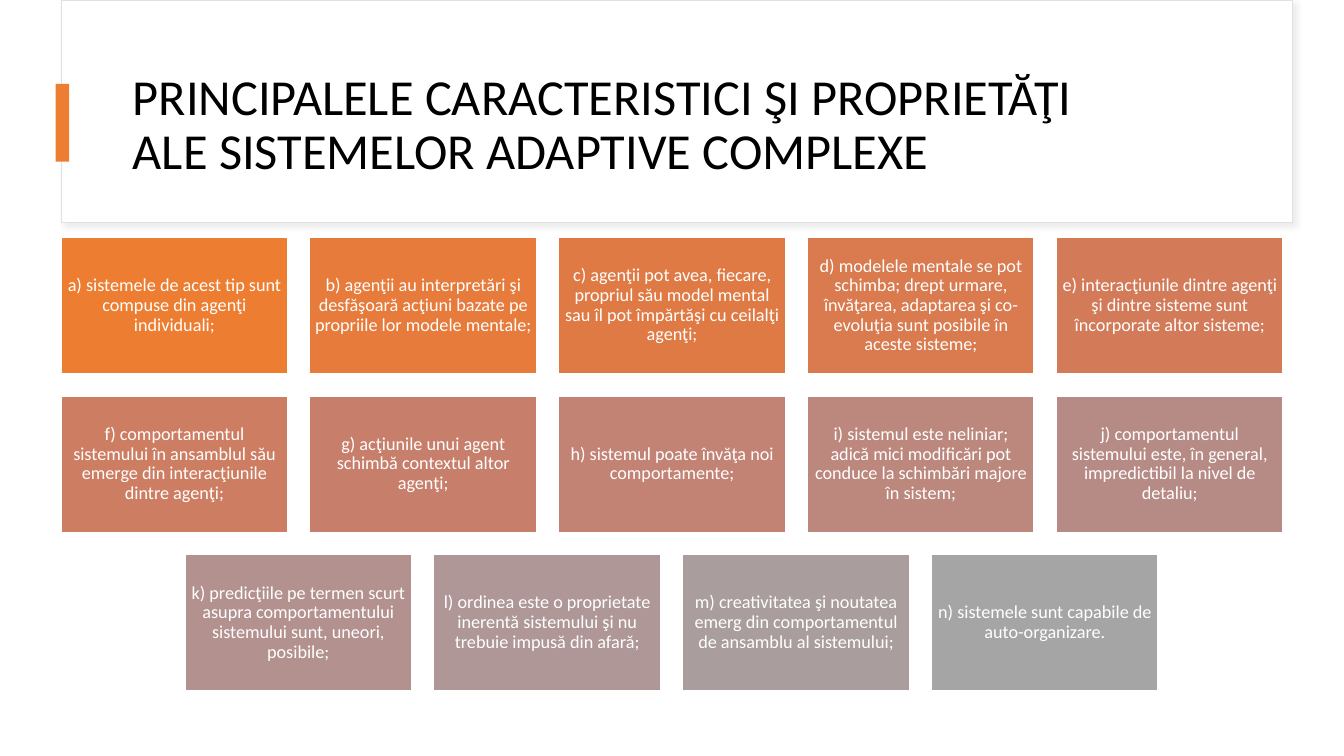
from colorsys import hls_to_rgb, rgb_to_hls
from dataclasses import dataclass

from lxml.etree import SubElement
from pptx import Presentation
from pptx.dml.color import RGBColor
from pptx.enum.shapes import MSO_SHAPE as Shape
from pptx.enum.text import MSO_ANCHOR as Anchor, PP_ALIGN as Align
from pptx.oxml.ns import qn
from pptx.util import Emu, Pt

PX = 9525
COLUMNS = 5
TILE_WIDTH, TILE_HEIGHT = 216, 130
COLUMN_STEP, ROW_STEP = 237, 151
GRID_LEFT, GRID_TOP = 58, 226

TITLE = [
    "PRINCIPALELE CARACTERISTICI ŞI PROPRIETĂŢI",
    "ALE SISTEMELOR ADAPTIVE COMPLEXE",
]
PROPERTIES = [
    "a) sistemele de acest tip sunt compuse din agenţi individuali;",
    "b) agenţii au interpretări şi desfăşoară acţiuni bazate pe propriile lor modele mentale;",
    "c) agenţii pot avea, fiecare, propriul său model mental sau îl pot împărtăşi cu ceilalţi agenţi;",
    "d) modelele mentale se pot schimba; drept urmare, învăţarea, adaptarea şi co-evoluţia "
    "sunt posibile în aceste sisteme;",
    "e) interacţiunile dintre agenţi şi dintre sisteme sunt încorporate altor sisteme;",
    "f) comportamentul sistemului în ansamblul său emerge din interacţiunile dintre agenţi;",
    "g) acţiunile unui agent schimbă contextul altor agenţi;",
    "h) sistemul poate învăţa noi comportamente;",
    "i) sistemul este neliniar; adică mici modificări pot conduce la schimbări majore în sistem;",
    "j) comportamentul sistemului este, în general, impredictibil la nivel de detaliu;",
    "k) predicţiile pe termen scurt asupra comportamentului sistemului sunt, uneori, posibile;",
    "l) ordinea este o proprietate inerentă sistemului şi nu trebuie impusă din afară;",
    "m) creativitatea şi noutatea emerg din comportamentul de ansamblu al sistemului;",
    "n) sistemele sunt capabile de auto-organizare.",
]


@dataclass(frozen=True)
class Theme:
    font: str = "Calibri"
    title_size: int = 36
    tile_size: int = 13
    ink: str = "000000"
    paper: str = "FFFFFF"
    frame: str = "E1E1E1"
    shadow: str = "D9D9D9"
    accent: str = "ED7D31"
    muted: str = "A5A5A5"

    def blend(self, share):
        start, end = (
            rgb_to_hls(*(part / 255 for part in RGBColor.from_string(color)))
            for color in (self.accent, self.muted)
        )
        mixed = (a + (b - a) * share for a, b in zip(start, end))
        return "".join(f"{round(part * 255):02X}" for part in hls_to_rgb(*mixed))


class SlideBuilder:
    """Draws themed elements on one slide, measured in px."""

    def __init__(self, page, theme):
        self.page = page
        self.theme = theme

    def rectangle(self, left, top, width, height, fill, line=None, weight=1):
        box = self.page.shapes.add_shape(
            Shape.RECTANGLE, *(Emu(value * PX) for value in (left, top, width, height))
        )
        box.shadow.inherit = False
        box.fill.solid()
        box.fill.fore_color.rgb = RGBColor.from_string(fill)
        if line:
            box.line.color.rgb = RGBColor.from_string(line)
            box.line.width = Pt(weight)
        else:
            box.line.fill.background()
        return box

    def add_lines(self, box, lines, size, color, align):
        frame = box.text_frame
        frame.word_wrap = True
        frame.vertical_anchor = Anchor.MIDDLE
        para = frame.paragraphs[0]
        para.alignment = align
        para.line_spacing = 0.9
        for index, line in enumerate(lines):
            if index:
                para.add_line_break()
            span = para.add_run()
            span.text = line
            span.font.name = self.theme.font
            span.font.size = Pt(size)
            span.font.color.rgb = RGBColor.from_string(color)

    def title_panel(self, left, top, width, height):
        theme = self.theme
        box = self.rectangle(left, top, width, height, theme.paper, theme.frame, 0.75)
        effects = box._element.spPr.find(qn("a:effectLst"))
        shadow = SubElement(
            effects, qn("a:outerShdw"), blurRad=str(Pt(4)), dist=str(Pt(3)),
            dir=str(45 * 60000), algn="tl", rotWithShape="0",
        )
        color = SubElement(shadow, qn("a:srgbClr"), val=theme.shadow)
        SubElement(color, qn("a:alpha"), val="50000")

    def title(self, left, top, width, height, lines):
        box = self.page.shapes.add_textbox(
            *(Emu(value * PX) for value in (left, top, width, height))
        )
        self.add_lines(box, lines, self.theme.title_size, self.theme.ink, Align.LEFT)

    def tile(self, left, top, text, fill):
        theme = self.theme
        box = self.rectangle(left, top, TILE_WIDTH, TILE_HEIGHT, fill, theme.paper)
        frame = box.text_frame
        frame.margin_left = frame.margin_right = Emu(5 * PX)
        frame.margin_top = frame.margin_bottom = Emu(5 * PX)
        self.add_lines(box, [text], theme.tile_size, theme.paper, Align.CENTER)


def main():
    deck = Presentation()
    deck.slide_width, deck.slide_height = Emu(1280 * PX), Emu(720 * PX)
    theme = Theme()
    builder = SlideBuilder(deck.slides.add_slide(deck.slide_layouts[6]), theme)

    builder.title_panel(59, 0, 1172, 212)
    builder.title(117, 58, 1068, 124, TITLE)
    builder.rectangle(53, 80, 13, 74, theme.accent)

    for index, text in enumerate(PROPERTIES):
        row, column = divmod(index, COLUMNS)
        missing = max(0, (row + 1) * COLUMNS - len(PROPERTIES))
        left = GRID_LEFT + column * COLUMN_STEP + missing * COLUMN_STEP // 2
        fill = theme.blend(index / (len(PROPERTIES) - 1))
        builder.tile(left, GRID_TOP + row * ROW_STEP, text, fill)

    deck.save("out.pptx")


if __name__ == "__main__":
    main()
